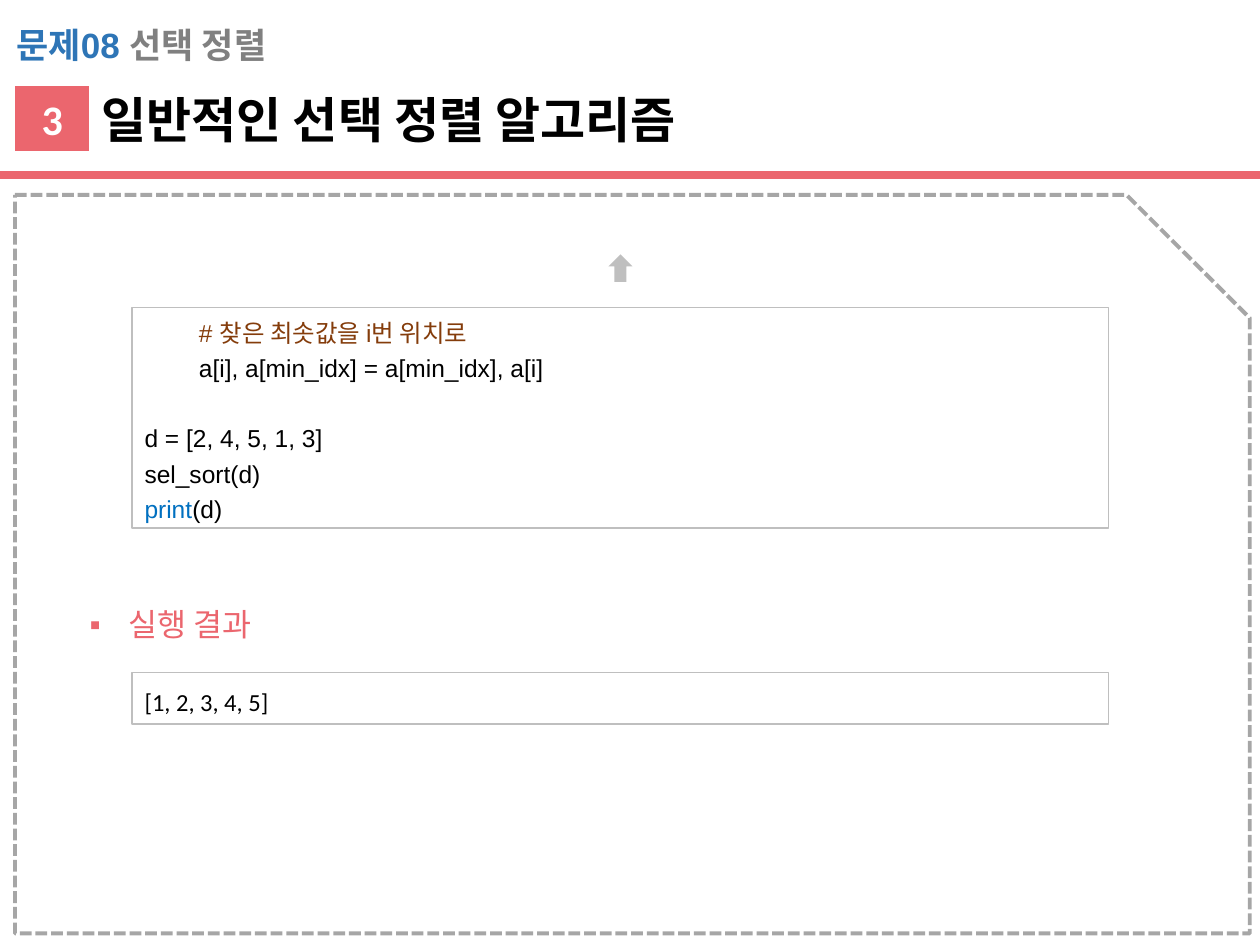
"""Build the slide on the general selection sort algorithm."""
from dataclasses import dataclass
from typing import Any, NamedTuple, Optional

from lxml import etree
from pptx import Presentation
from pptx.dml.color import RGBColor
from pptx.enum.dml import MSO_LINE
from pptx.enum.shapes import MSO_CONNECTOR, MSO_SHAPE
from pptx.enum.text import MSO_ANCHOR, MSO_AUTO_SIZE, PP_ALIGN
from pptx.oxml.ns import qn
from pptx.util import Pt

TOP, MIDDLE = MSO_ANCHOR.TOP, MSO_ANCHOR.MIDDLE
LEFT, CENTER = PP_ALIGN.LEFT, PP_ALIGN.CENTER
GROW, FIXED = MSO_AUTO_SIZE.SHAPE_TO_FIT_TEXT, MSO_AUTO_SIZE.NONE
RECT, BADGE = MSO_SHAPE.RECTANGLE, MSO_SHAPE.FLOWCHART_PROCESS
SNIPPED, ARROW = MSO_SHAPE.SNIP_1_RECTANGLE, MSO_SHAPE.DOWN_ARROW
STRAIGHT, DASHED = MSO_CONNECTOR.STRAIGHT, MSO_LINE.SQUARE_DOT


@dataclass(frozen=True)
class Theme:
    """Colours, fonts and type sizes."""
    accent: str = "EB666E"
    blue: str = "2E75B6"
    grey: str = "808080"
    frame: str = "A6A6A6"
    border: str = "BFBFBF"
    ink: str = "000000"
    white: str = "FFFFFF"
    comment: str = "843C0B"
    keyword: str = "0070C0"
    font: str = "Arial"
    output_font: str = "Calibri"
    chapter_size: int = 20
    title_size: int = 28
    badge_size: int = 24
    heading_size: int = 18
    code_size: int = 14


THEME = Theme()


class Box(NamedTuple):
    """Position and size in points."""
    left: float
    top: float
    width: float
    height: float


class Span(NamedTuple):
    """Text in one colour."""
    text: str
    color: str = THEME.ink


class Line(NamedTuple):
    """A paragraph of spans."""
    spans: list[Span]
    before: float = 0


@dataclass(frozen=True)
class Style:
    """Text formatting for a whole box."""
    size: int
    font: str = THEME.font
    bold: bool = False
    spacing: float = 1.0
    align: Any = LEFT
    anchor: Any = TOP
    fit: Any = GROW
    bullet: str = ""


CODE_STYLE = Style(THEME.code_size, spacing=1.2, anchor=MIDDLE, fit=FIXED)
OUTPUT_STYLE = Style(THEME.code_size, THEME.output_font, spacing=1.2, anchor=MIDDLE, fit=FIXED)
CODE = [
    Line([Span("        # 찾은 최솟값을 i번 위치로", THEME.comment)]),
    Line([Span("        a[i], a[min_idx] = a[min_idx], a[i]")]),
    Line([Span("d = [2, 4, 5, 1, 3]")], before=20),
    Line([Span("sel_sort(d)")]),
    Line([Span("print", THEME.keyword), Span("(d)")]),
]


def apply(target: Any, values: dict[str, Any]) -> None:
    """Set each named attribute on the target."""
    for name, value in values.items():
        setattr(target, name, value)


def place(shape: Any, box: Box) -> None:
    """Move and size a shape."""
    apply(shape, {name: Pt(value) for name, value in box._asdict().items()})


def add_bullet(paragraph: Any, char: str) -> None:
    """Give a paragraph an accent-coloured hanging bullet."""
    props = paragraph._p.get_or_add_pPr()
    apply_indent = {"marL": Pt(22.5), "indent": Pt(-22.5)}
    for name, value in apply_indent.items():
        props.set(name, str(int(value)))
    color = etree.SubElement(props, qn("a:buClr"))
    etree.SubElement(color, qn("a:srgbClr")).set("val", THEME.accent)
    etree.SubElement(props, qn("a:buFont")).set("typeface", THEME.font)
    etree.SubElement(props, qn("a:buChar")).set("char", char)


def write(shape: Any, lines: list[Line], style: Style) -> None:
    """Fill a shape with formatted lines."""
    frame = shape.text_frame
    apply(frame, {"word_wrap": True, "auto_size": style.fit, "vertical_anchor": style.anchor})
    for index, line in enumerate(lines):
        paragraph = frame.add_paragraph() if index else frame.paragraphs[0]
        if style.bullet:
            add_bullet(paragraph, style.bullet)
        apply(paragraph, {"alignment": style.align, "line_spacing": style.spacing,
                          "space_before": Pt(line.before), "space_after": Pt(0)})
        for span in line.spans:
            run = paragraph.add_run()
            run.text = span.text
            apply(run.font, {"name": style.font, "size": Pt(style.size), "bold": style.bold})
            run.font.color.rgb = RGBColor.from_string(span.color)


def add_panel(slide: Any, kind: Any, box: Box, fill: Optional[str] = None,
              line: Optional[str] = None, weight: float = 1) -> Any:
    """Add a flat shape with an optional fill and outline."""
    panel = slide.shapes.add_shape(kind, *map(Pt, box))
    panel.shadow.inherit = False
    for part, color in ((panel.fill, fill), (panel.line.fill, line)):
        if color:
            part.solid()
            part.fore_color.rgb = RGBColor.from_string(color)
        else:
            part.background()
    if line:
        panel.line.width = Pt(weight)
    return panel


def add_rule(slide: Any, top: float, width: float) -> None:
    """Add the accent rule under the title."""
    rule = slide.shapes.add_connector(STRAIGHT, Pt(0), Pt(top), Pt(width), Pt(top))
    rule.line.color.rgb = RGBColor.from_string(THEME.accent)
    rule.line.width = Pt(4.5)
    etree.SubElement(rule._element.spPr, qn("a:effectLst"))


def main() -> None:
    """Build and save the slide."""
    deck = Presentation()
    apply(deck, {"slide_width": Pt(720), "slide_height": Pt(540)})
    slide = deck.slides.add_slide(deck.slide_layouts[1])
    title, heading = slide.placeholders

    outline = add_panel(slide, SNIPPED, Box(8.6, 111.4, 705.6, 422), line=THEME.frame, weight=2.25)
    outline.line.dash_style = DASHED
    add_rule(slide, 100, 720)

    chapter_box = Box(2.2, 10, 680, 31.5)
    chapter = slide.shapes.add_textbox(*map(Pt, chapter_box))
    write(chapter, [Line([Span("문제08 ", THEME.blue), Span("선택 정렬", THEME.grey)])],
          Style(THEME.chapter_size, bold=True))

    badge = add_panel(slide, BADGE, Box(8.6, 49, 42.5, 37.5), fill=THEME.accent)
    write(badge, [Line([Span("3", THEME.white)])],
          Style(THEME.badge_size, THEME.output_font, True, align=CENTER, anchor=MIDDLE, fit=FIXED))

    place(title, Box(51, 47.5, 663, 41))
    write(title, [Line([Span("일반적인 선택 정렬 알고리즘")])], Style(THEME.title_size, bold=True))

    code = add_panel(slide, RECT, Box(75.5, 175.7, 558, 126), line=THEME.border)
    write(code, CODE, CODE_STYLE)
    arrow = add_panel(slide, ARROW, Box(347.7, 145.3, 13.7, 15.8), fill=THEME.border)
    arrow.rotation = 180

    place(heading, Box(44, 328.3, 631.5, 38))
    write(heading, [Line([Span("실행 결과", THEME.accent)])],
          Style(THEME.heading_size, spacing=1.65, bullet="▪"))

    output = add_panel(slide, RECT, Box(75.5, 384.3, 558, 29.5), line=THEME.border)
    write(output, [Line([Span("[1, 2, 3, 4, 5]")])], OUTPUT_STYLE)
    deck.save("out.pptx")


if __name__ == "__main__":
    main()
